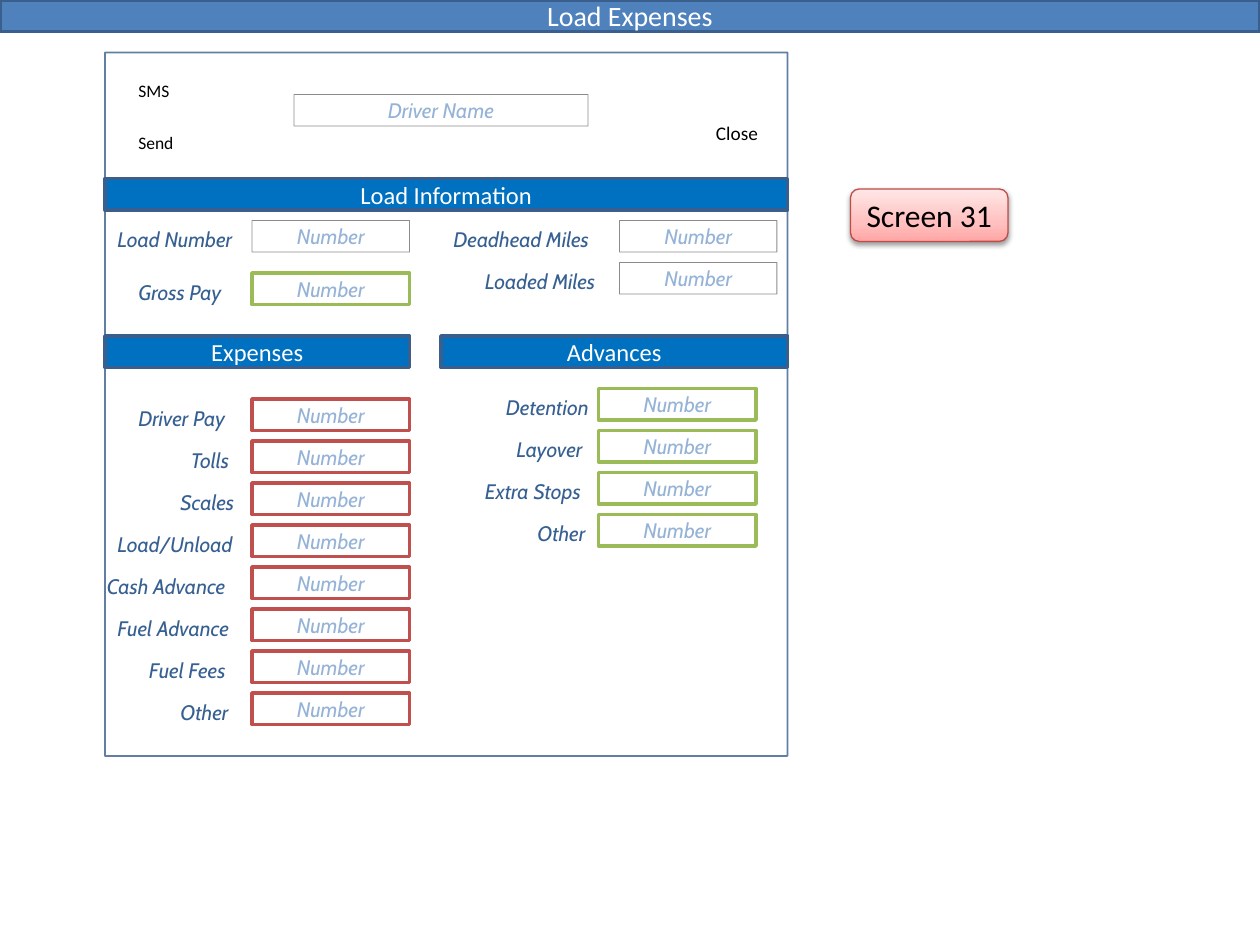
from dataclasses import dataclass

from pptx import Presentation, util as u
from pptx.dml.color import RGBColor
from pptx.enum import shapes, text
from pptx.oxml import parse_xml
from pptx.oxml.ns import nsdecls, qn

COLORS = {
    "white": "FFFFFF", "black": "000000", "title": "4F81BD", "band": "0070C0",
    "edge": "3A5F8C", "label": "376092", "hint": "95B3D7", "plain": "0D0D0D",
    "income": "9BBB59", "cost": "C0504D", "badge": "BF4C48",
}
BADGE_STOPS = [(0, "FFA6A5"), (35, "FFC0BF"), (100, "FFE7E7")]
ROW_H = 18
ROW_STEP = 24
FIELD_W = 90


@dataclass
class Band:
    text: str
    left: float
    top: float
    width: float
    fill: str = "band"
    size: float = 14


@dataclass
class Label:
    text: str
    left: float
    width: float


@dataclass
class Column:
    """Labelled number fields, one row per label."""
    field_left: float
    top: float
    kind: str
    labels: list[Label]


BANDS = [
    Band("Load Expenses", 0, 0, 720, "title", 16),
    Band("Load Information", 60, 102, 390),
    Band("Expenses", 60, 192, 174),
    Band("Advances", 252, 192, 198),
]
COLUMNS = [
    Column(144, 126, "plain", [Label("Load Number", 60, 85.7)]),
    Column(144, 156, "income", [Label("Gross Pay", 72, 65.5)]),
    Column(354, 126, "plain", [Label("Deadhead Miles", 252, 97.9),
                               Label("Loaded Miles", 270, 82)]),
    Column(144, 228, "cost", [
        Label("Driver Pay", 72, 69), Label("Tolls", 102, 37.5),
        Label("Scales", 96, 46), Label("Load/Unload", 60, 82),
        Label("Cash Advance", 54, 88), Label("Fuel Advance", 60, 84.2),
        Label("Fuel Fees", 78, 62), Label("Other", 96, 44.6)]),
    Column(342, 222, "income", [
        Label("Detention", 282, 66.2), Label("Layover", 288, 54.7),
        Label("Extra Stops", 270, 72), Label("Other", 300, 44.6)]),
]


def write(tf, content: str, *, size: float, color: str, font: str = "Calibri",
          italic: bool = False, center: bool = False) -> None:
    p = tf.paragraphs[0]
    p.alignment = text.PP_ALIGN.CENTER if center else text.PP_ALIGN.LEFT
    r = p.add_run()
    r.text = content
    r.font.name, r.font.size, r.font.italic = font, u.Pt(size), italic
    r.font.color.rgb = RGBColor.from_string(COLORS[color])


def add_box(s, left: float, top: float, width: float, height: float, *,
            line: str, weight: float, fill: str | None = None, opacity: int = 100,
            shape=shapes.MSO_SHAPE.RECTANGLE):
    sp = s.shapes.add_shape(shape, u.Pt(left), u.Pt(top), u.Pt(width), u.Pt(height))
    sp.shadow.inherit = False
    if fill:
        sp.fill.solid()
        sp.fill.fore_color.rgb = RGBColor.from_string(COLORS[fill])
    else:
        sp.fill.background()
    sp.line.color.rgb = RGBColor.from_string(COLORS[line])
    sp.line.width = u.Pt(weight)
    if opacity < 100:
        color = sp.line._ln.find(".//" + qn("a:srgbClr"))
        color.append(parse_xml(f'<a:alpha {nsdecls("a")} val="{opacity * 1000}"/>'))
    sp.text_frame.vertical_anchor = text.MSO_ANCHOR.MIDDLE
    return sp


def add_label(s, content: str, left: float, top: float, width: float,
              height: float, **style) -> None:
    tb = s.shapes.add_textbox(u.Pt(left), u.Pt(top), u.Pt(width), u.Pt(height))
    tf = tb.text_frame
    tf.word_wrap = False
    tf.auto_size = text.MSO_AUTO_SIZE.SHAPE_TO_FIT_TEXT
    write(tf, content, **style)


def add_field(s, hint: str, left: float, top: float, width: float, kind: str) -> None:
    weight, opacity = (0.5, 48) if kind == "plain" else (2, 100)
    sp = add_box(s, left, top, width, ROW_H, fill="white", line=kind,
                 weight=weight, opacity=opacity)
    write(sp.text_frame, hint, size=12, color="hint", font="Cabin",
          italic=True, center=True)


def add_band(s, band: Band) -> None:
    sp = add_box(s, band.left, band.top, band.width, ROW_H, fill=band.fill,
                 line="edge", weight=2)
    write(sp.text_frame, band.text, size=band.size, color="white", center=True)


def add_column(s, column: Column) -> None:
    for i, label in enumerate(column.labels):
        top = column.top + i * ROW_STEP
        add_field(s, "Number", column.field_left, top, FIELD_W, column.kind)
        add_label(s, label.text, label.left, top, label.width, 21.8, size=12,
                  color="label", font="Cabin", italic=True)


def add_badge(s, content: str) -> None:
    """Rounded screen tag with a vertical gradient and a soft shadow."""
    sp = add_box(s, 486, 108, 90, 30, line="badge", weight=0.75,
                 shape=shapes.MSO_SHAPE.ROUNDED_RECTANGLE)
    pr = sp._element.spPr
    stops = "".join(f'<a:gs pos="{pos * 1000}"><a:srgbClr val="{c}"/></a:gs>'
                    for pos, c in BADGE_STOPS)
    pr.replace(pr.find(qn("a:noFill")), parse_xml(
        f'<a:gradFill {nsdecls("a")}><a:gsLst>{stops}</a:gsLst>'
        '<a:lin ang="16200000" scaled="1"/></a:gradFill>'))
    pr.find(qn("a:effectLst")).append(parse_xml(
        f'<a:outerShdw {nsdecls("a")} blurRad="{u.Pt(3.1)}" dist="{u.Pt(1.6)}" '
        'dir="5400000" rotWithShape="0"><a:srgbClr val="000000">'
        '<a:alpha val="38000"/></a:srgbClr></a:outerShdw>'))
    sp.text_frame.word_wrap = False
    write(sp.text_frame, content, size=18, color="black", center=True)


def main() -> None:
    prs = Presentation()
    prs.slide_width, prs.slide_height = u.Pt(720), u.Pt(540)
    s = prs.slides.add_slide(prs.slide_layouts[6])
    add_box(s, 60, 30, 390, 402, line="edge", weight=1, opacity=80)
    add_label(s, "SMS", 72, 42, 32.4, 19.4, size=10, color="black")
    add_label(s, "Send", 72, 72, 34.6, 19.4, size=10, color="black")
    add_label(s, "Close", 402, 66, 39.6, 20.9, size=11, color="black")
    add_field(s, "Driver Name", 168, 54, 168, "plain")
    for band in BANDS:
        add_band(s, band)
    for column in COLUMNS:
        add_column(s, column)
    add_badge(s, "Screen 31")
    prs.save("out.pptx")


if __name__ == "__main__":
    main()
